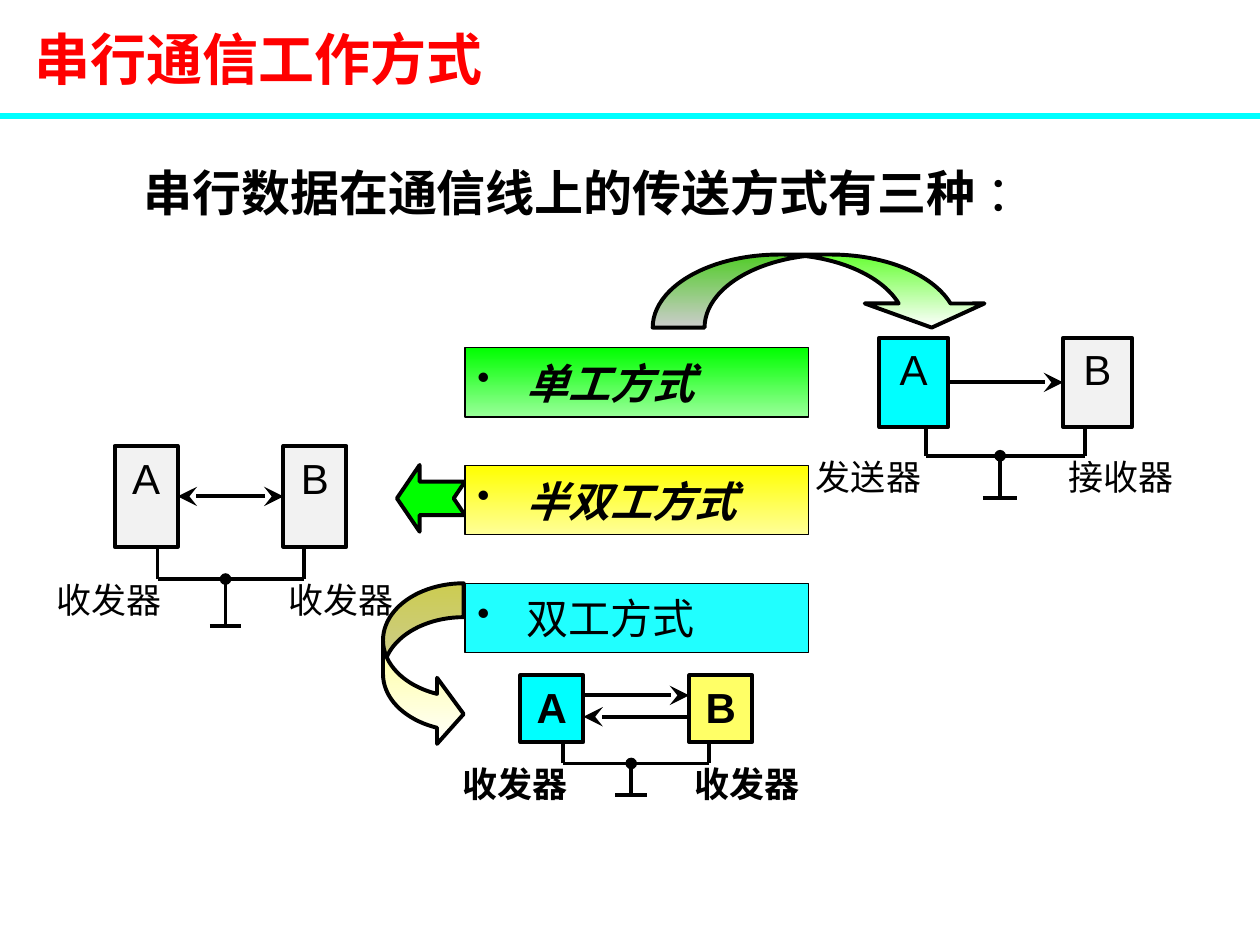
from dataclasses import dataclass

from lxml import etree
from pptx import Presentation
from pptx.dml.color import RGBColor
from pptx.enum.shapes import MSO_CONNECTOR, MSO_SHAPE
from pptx.enum.text import MSO_ANCHOR, PP_ALIGN
from pptx.oxml.ns import qn
from pptx.util import Inches, Pt

LINE = MSO_CONNECTOR.STRAIGHT
RECT = MSO_SHAPE.RECTANGLE
OVER = MSO_SHAPE.CURVED_DOWN_ARROW
SIDE = MSO_SHAPE.CURVED_RIGHT_ARROW
NOTCH = MSO_SHAPE.NOTCHED_RIGHT_ARROW
TOP, MID = MSO_ANCHOR.TOP, MSO_ANCHOR.MIDDLE
LEFT, MIDST = PP_ALIGN.LEFT, PP_ALIGN.CENTER

COLS, ROWS = 100, 75  # grid over the slide
CELL = Inches(10) / COLS
HAN, LATIN = "Noto Sans CJK SC", "Arial"
HEX = {
    "black": "000000", "white": "FFFFFF", "red": "FF0000", "cyan": "00FFFF",
    "aqua": "20FFFF", "gray": "F2F2F2", "green": "00FF00", "mint": "99FF99",
    "lime": "66FF33", "yellow": "FFFF00", "pale": "FFFF99", "lemon": "FFFF66",
}
INSET = {"margin_left": 1, "margin_right": 1, "margin_top": 0.5, "margin_bottom": 0.5}
TIGHT = {"margin_left": 0.4, "margin_right": 0.4, "margin_top": 0.2, "margin_bottom": 0.4}


@dataclass
class Box:
    x: float
    y: float
    w: float
    h: float


@dataclass
class Wire:
    share: float  # height on the station; 0.5 joins the side middles
    heads: str    # "b" points to B, "a" points to A


@dataclass
class Link:
    unit: Box     # station A
    fills: tuple
    names: tuple
    wires: tuple
    bold: bool = False


@dataclass
class Mode:
    name: str
    fill: tuple
    strong: bool


@dataclass
class Sweep:
    kind: MSO_SHAPE
    box: Box
    fill: tuple
    adjust: tuple
    turn: int = 0


def at(n: float) -> int:
    return round(n * CELL)


def spot(box: Box) -> tuple:
    return at(box.x), at(box.y), at(box.w), at(box.h)


def tint(name: str) -> RGBColor:
    return RGBColor.from_string(HEX[name])


def frame(shape, inset: dict, anchor) -> None:
    text = shape.text_frame
    looks = {key: at(n) for key, n in inset.items()}
    looks.update(word_wrap=True, vertical_anchor=anchor)
    for key, value in looks.items():
        setattr(text, key, value)


def write(para, text: str, size: int, face=HAN, color="black", **looks) -> None:
    run = para.add_run()
    run.text = text
    looks.update(size=Pt(size), name=face)
    for key, value in looks.items():
        setattr(run.font, key, value)
    run.font.color.rgb = tint(color)
    etree.SubElement(run.font._element, qn("a:ea"), typeface=HAN)


def shape(board, kind, box: Box, fill: tuple, width: float):
    item = board.add_shape(kind, *spot(box))
    item.shadow.inherit = False
    if len(fill) == 1:
        item.fill.solid()
        item.fill.fore_color.rgb = tint(fill[0])
    else:
        item.fill.gradient()
        item.fill.gradient_angle = 270
        for stop, name in zip(item.fill.gradient_stops, fill):
            stop.color.rgb = tint(name)
    item.line.color.rgb = tint("black")
    item.line.width = Pt(width)
    return item


def line(board, x1, y1, x2, y2, color="black", width=2.25, **ends):
    item = board.add_connector(LINE, at(x1), at(y1), at(x2), at(y2))
    item.line.color.rgb = tint(color)
    item.line.width = Pt(width)
    for tag in ("headEnd", "tailEnd"):
        if tag in ends:
            size = "lg" if ends[tag] == "stealth" else "med"
            etree.SubElement(item.line._get_or_add_ln(), qn("a:" + tag),
                             type=ends[tag], w=size, len=size)
    etree.SubElement(item._element.spPr, qn("a:effectLst"))
    return item


def label(board, box: Box, text: str, bold: bool) -> None:
    item = board.add_textbox(*spot(box))
    frame(item, TIGHT, TOP)
    para = item.text_frame.paragraphs[0]
    para.line_spacing = Pt(22.1)
    write(para, text, 20, LATIN, bold=bold)


def link(board, plan: Link) -> None:
    a = plan.unit
    w, h = a.w, a.h
    b = Box(a.x + 2.68 * w, a.y, w, h)
    base = a.y + 1.32 * h
    for unit, x, name in zip((a, b), (a.x - w, b.x), plan.names):
        label(board, Box(x, base, 2.08 * w, 0.86 * h), name, plan.bold)

    # Common ground
    tap, far, mid = (a.x + n * w for n in (0.68, 3, 1.76))
    foot = base + 0.47 * h
    for x in (tap, far):
        line(board, x, base, x, a.y + h)
    line(board, tap, base, far, base)
    line(board, mid, base, mid, foot, headEnd="oval")
    line(board, mid - w / 4, foot, mid + w / 4, foot)

    # Stations
    units = []
    for unit, name, fill in zip((a, b), "AB", plan.fills):
        item = shape(board, RECT, unit, (fill,), 2.25)
        frame(item, INSET, TOP)
        para = item.text_frame.paragraphs[0]
        para.alignment = MIDST
        write(para, name, 24, LATIN, bold=plan.bold)
        units.append(item)

    # Signal wires run from B to A
    for wire in plan.wires:
        y = a.y + wire.share * h
        ends = {tag: "stealth" for tag, key in (("headEnd", "b"), ("tailEnd", "a"))
                if key in wire.heads}
        item = line(board, b.x, y, a.x + w, y, **ends)
        if wire.share == 0.5:
            item.begin_connect(units[1], 1)
            item.end_connect(units[0], 3)


def mode(board, box: Box, plan: Mode) -> None:
    item = shape(board, RECT, box, plan.fill, 0.75)
    frame(item, INSET, MID)
    para = item.text_frame.paragraphs[0]
    para.alignment = LEFT
    props = para._p.get_or_add_pPr()
    props.set("marL", str(at(3.9)))
    props.set("indent", str(-at(3.9)))
    ink = etree.SubElement(props, qn("a:buClr"))
    etree.SubElement(ink, qn("a:srgbClr"), val=HEX["black"])
    etree.SubElement(props, qn("a:buSzPct"), val="86000")
    etree.SubElement(props, qn("a:buChar"), char="•")
    write(para, plan.name, 24, bold=plan.strong, italic=plan.strong)


LINKS = (
    Link(Box(69.8, 26.8, 5.44, 7.1), ("cyan", "gray"), ("发送器", "接收器"),
         (Wire(0.5, "b"),)),
    Link(Box(9.1, 35.4, 5, 8), ("gray", "gray"), ("收发器", "收发器"),
         (Wire(0.5, "ab"),)),
    Link(Box(41.3, 53.6, 5, 5.3), ("cyan", "lemon"), ("收发器", "收发器"),
         (Wire(0.3, "b"), Wire(0.62, "a")), True),
)
SWEEPS = (
    Sweep(OVER, Box(51.8, 20.2, 26.9, 5.8), ("lime", "white"), (0.71, 1.64, 0.33)),
    Sweep(SIDE, Box(30.4, 46.3, 6.4, 13), ("lemon", "white"), (0.42, 0.82, 0.33)),
    Sweep(NOTCH, Box(31.5, 36.9, 5.4, 5.3), ("green",), (0.5, 0.34), 180),
)
MODES = (
    Mode("单工方式", ("green", "mint"), True),
    Mode("半双工方式", ("yellow", "pale"), True),
    Mode("双工方式", ("aqua",), False),
)


def main() -> None:
    deck = Presentation()
    deck.slide_width, deck.slide_height = at(COLS), at(ROWS)
    slide = deck.slides.add_slide(deck.slide_layouts[5])
    board = slide.shapes

    # Title, rule and lead sentence
    title = board.title
    title.left, title.top, title.width, title.height = spot(Box(1.7, 0, 98.3, 9.2))
    frame(title, INSET, MID)
    para = title.text_frame.paragraphs[0]
    para.alignment = LEFT
    write(para, "串行通信工作方式", 32, color="red", bold=True)
    line(board, 0, 9.2, COLS, 9.2, "cyan", 3)
    lead = board.add_textbox(*spot(Box(10.4, 12.4, 81.3, 5.7)))
    frame(lead, INSET, TOP)
    para = lead.text_frame.paragraphs[0]
    write(para, "串行数据在通信线上的传送方式有三种", 28, bold=True)
    write(para, " ：", 28, bold=False)

    # Circuits
    for plan in LINKS:
        link(board, plan)

    # Pointers from modes to circuits
    for plan in SWEEPS:
        item = shape(board, plan.kind, plan.box, plan.fill, 2.25)
        item.rotation = plan.turn
        for i, value in enumerate(plan.adjust):
            item.adjustments[i] = value

    # Modes
    for row, plan in enumerate(MODES):
        mode(board, Box(36.9, 27.6 + 9.35 * row, 27.3, 5.5), plan)

    deck.save("out.pptx")


if __name__ == "__main__":
    main()
